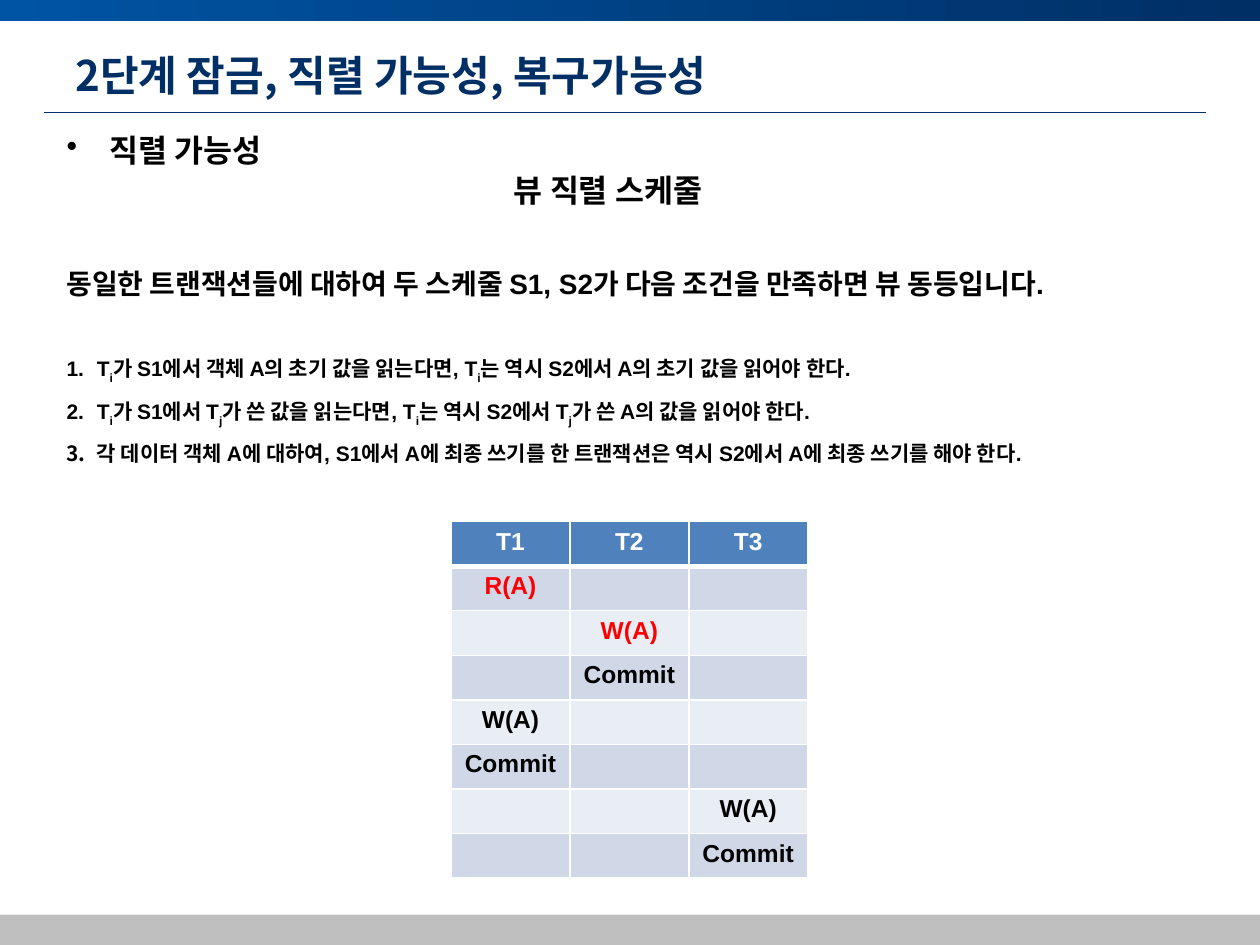
from dataclasses import dataclass

from lxml.etree import SubElement
from pptx import Presentation
from pptx.dml.color import RGBColor
from pptx.enum.shapes import MSO_CONNECTOR, MSO_SHAPE
from pptx.enum.text import MSO_ANCHOR, PP_ALIGN
from pptx.oxml.ns import qn
from pptx.util import Inches, Pt


@dataclass(frozen=True)
class Theme:
    """Colours, fonts and type sizes."""
    navy: str = "002F65"
    blue: str = "0054A4"
    grey: str = "BFBFBF"
    black: str = "000000"
    white: str = "FFFFFF"
    red: str = "FF0000"
    header: str = "4F81BD"
    bands: tuple = ("D0D8E8", "E9EDF4")
    body_font: str = "Arial"
    korean_font: str = "Noto Sans CJK KR"
    title_size: int = 24
    heading_size: int = 18
    lead_size: int = 16
    cell_size: int = 14
    item_size: int = 12


def grid(*units):
    """Turn grid units, 100 columns by 75 rows, into lengths."""
    return [Inches(unit / 10) for unit in units]


class SlideBuilder:
    """Draws styled elements on one slide."""

    def __init__(self, page, theme):
        """Keep the page and its theme."""
        self.page, self.theme = page, theme

    def style(self, para, size, color, font=None):
        """Set the bold face of a paragraph."""
        para.font.name = font or self.theme.body_font
        para.font.size, para.font.bold = Pt(size), True
        para.font.color.rgb = RGBColor.from_string(color)

    def bar(self, place, *colors):
        """Add a bar, plain or with a gradient from left to right."""
        bar = self.page.shapes.add_shape(MSO_SHAPE.RECTANGLE, *grid(*place))
        bar.shadow.inherit = False
        bar.line.fill.background()
        if len(colors) == 1:
            bar.fill.solid()
            bar.fill.fore_color.rgb = RGBColor.from_string(colors[0])
            return
        bar.fill.gradient()
        bar.fill.gradient_angle = 0
        for stop, position, color in zip(bar.fill.gradient_stops, (0, 1), colors):
            stop.position = position
            stop.color.rgb = RGBColor.from_string(color)

    def rule(self, left, right, top):
        """Add a thin horizontal line."""
        rule = self.page.shapes.add_connector(
            MSO_CONNECTOR.STRAIGHT, *grid(left, top, right, top))
        rule.line.width = Pt(0.5)
        rule.line.color.rgb = RGBColor.from_string(self.theme.navy)
        SubElement(rule._element.spPr, qn("a:effectLst"))

    def text_box(self, place, anchor=MSO_ANCHOR.TOP):
        """Add an empty wrapping text box and return its frame."""
        frame = self.page.shapes.add_textbox(*grid(*place)).text_frame
        frame.word_wrap, frame.vertical_anchor = True, anchor
        return frame

    def put_text(self, para, text, size, color=None, font=None):
        """Fill a paragraph; a letter after an underscore is a subscript."""
        self.style(para, size, color or self.theme.black, font)
        first, *others = text.split("_")
        pieces = [(first, False)]
        for other in others:
            pieces += [(other[0], True), (other[1:], False)]
        for piece, lowered in pieces:
            if not piece:
                continue
            span = para.add_run()
            span.text = piece
            if lowered:
                span._r.get_or_add_rPr().set("baseline", "-25000")

    def mark(self, para, indent, tag, **settings):
        """Give a paragraph a hanging bullet or number."""
        properties = para._p.get_or_add_pPr()
        properties.set("marL", str(Inches(indent)))
        properties.set("indent", str(-Inches(indent)))
        mark = properties.makeelement(qn(tag), settings)
        properties.insert_element_before(mark, "a:tabLst", "a:defRPr", "a:extLst")

    def border(self, cell, bottom):
        """Draw white cell borders with the given bottom width."""
        properties = cell._tc.get_or_add_tcPr()
        for index, side in enumerate(("lnL", "lnR", "lnT", "lnB")):
            width = bottom if side == "lnB" else 1
            line = properties.makeelement(qn(f"a:{side}"), {"w": str(Pt(width))})
            fill = SubElement(line, qn("a:solidFill"))
            SubElement(fill, qn("a:srgbClr"), val=self.theme.white)
            properties.insert(index, line)

    def schedule(self, place, headings, steps):
        """Add the schedule; a step is a column, an action and a colour."""
        theme = self.theme
        rows, columns = len(steps) + 1, len(headings)
        table = self.page.shapes.add_table(rows, columns, *grid(*place)).table
        entries = {(0, column): (text, theme.white)
                   for column, text in enumerate(headings)}
        entries.update({(row, column): (action, color)
                        for row, (column, action, color) in enumerate(steps, 1)})
        for row in range(rows):
            for column in range(columns):
                cell = table.cell(row, column)
                cell.fill.solid()
                cell.fill.fore_color.rgb = RGBColor.from_string(
                    theme.bands[(row - 1) % 2] if row else theme.header)
                self.border(cell, 1 if row else 3)
                cell.margin_left = cell.margin_right = Inches(0.05)
                para = cell.text_frame.paragraphs[0]
                para.alignment = PP_ALIGN.CENTER
                if (row, column) in entries:
                    text, color = entries[row, column]
                    self.put_text(para, text, theme.cell_size, color)
                else:
                    cell.margin_top = cell.margin_bottom = 0
                    self.style(para, theme.cell_size, theme.black)


def build():
    """Build the slide and save the deck."""
    theme = Theme()
    deck = Presentation()
    deck.slide_width, deck.slide_height = grid(100, 75)
    slide = SlideBuilder(deck.slides.add_slide(deck.slide_layouts[6]), theme)

    slide.bar((0, 0, 100, 1.7), theme.blue, theme.navy)
    slide.rule(3.5, 95.7, 8.9)
    slide.bar((0, 72.6, 100, 2.4), theme.grey)

    title = slide.text_box((5, 3, 90, 5.8), MSO_ANCHOR.MIDDLE)
    slide.put_text(title.paragraphs[0], "2단계 잠금, 직렬 가능성, 복구가능성",
                   theme.title_size, theme.navy, theme.korean_font)

    heading = slide.text_box((39.8, 13.1, 26.8, 4))
    slide.put_text(heading.paragraphs[0], "뷰 직렬 스케줄", theme.heading_size)

    body = slide.text_box((4.3, 19.3, 95.7, 17.7))
    lead = body.paragraphs[0]
    lead.line_spacing, lead.space_after = 1.5, Pt(24)
    slide.put_text(lead, "동일한 트랜잭션들에 대하여 두 스케줄 S1, S2가 다음 조건을 "
                   "만족하면 뷰 동등입니다.", theme.lead_size)
    conditions = (
        "T_i가 S1에서 객체 A의 초기 값을 읽는다면, T_i는 역시 S2에서 A의 초기 값을 읽어야 한다.",
        "T_i가 S1에서 T_j가 쓴 값을 읽는다면, T_i는 역시 S2에서 T_j가 쓴 A의 값을 읽어야 한다.",
        "각 데이터 객체 A에 대하여, S1에서 A에 최종 쓰기를 한 트랜잭션은 역시 S2에서 "
        "A에 최종 쓰기를 해야 한다.",
    )
    for condition in conditions:
        item = body.add_paragraph()
        item.line_spacing = 1.5
        slide.put_text(item, condition, theme.item_size)
        slide.mark(item, 0.24, "a:buAutoNum", type="arabicPeriod")

    topic = slide.text_box((4.3, 9.9, 40.6, 4)).paragraphs[0]
    slide.put_text(topic, "직렬 가능성", theme.heading_size)
    slide.mark(topic, 0.34, "a:buChar", char="•")

    slide.schedule((35.8, 41.4, 28.3, 28.3), ("T1", "T2", "T3"), (
        (0, "R(A)", theme.red),
        (1, "W(A)", theme.red),
        (1, "Commit", theme.black),
        (0, "W(A)", theme.black),
        (0, "Commit", theme.black),
        (2, "W(A)", theme.black),
        (2, "Commit", theme.black),
    ))
    deck.save("out.pptx")


build()
